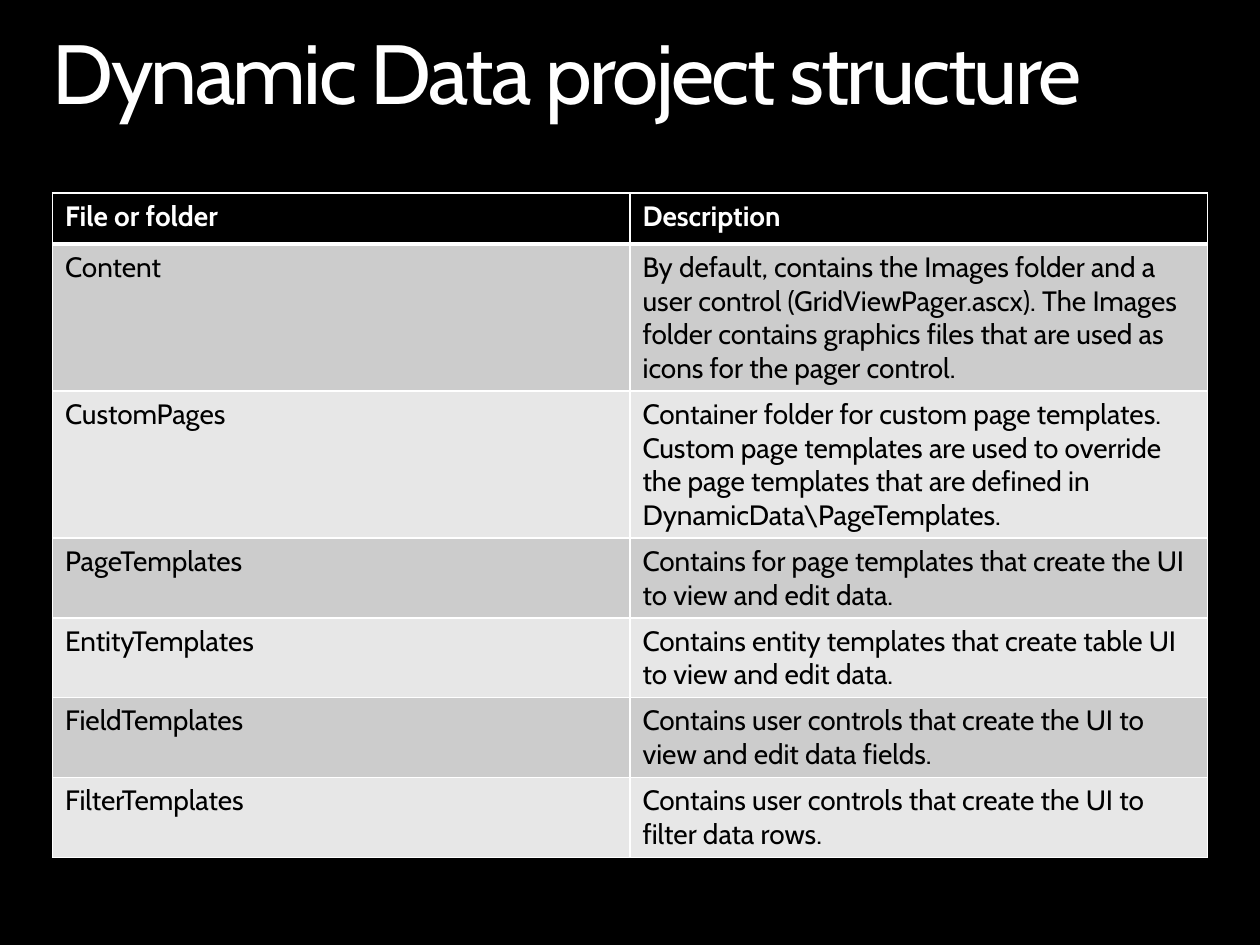
import pptx
import pptx.dml.color
import pptx.enum.text
import pptx.oxml
import pptx.oxml.ns
import pptx.util
from pptx.util import Cm

COLORS = {
    "background": "000000",
    "title_start": "FFFFFF",
    "title_end": "9F9F9F",
    "border": "FFFFFF",
    "header": "000000",
    "header_text": "FFFFFF",
    "text": "000000",
    "odd_row": "CCCCCC",
    "even_row": "E7E7E7",
}

ROWS = [
    ("File or folder", "Description"),
    ("Content",
     "By default, contains the Images folder and a user control "
     "(GridViewPager.ascx). The Images folder contains graphics files "
     "that are used as icons for the pager control."),
    ("CustomPages",
     "Container folder for custom page templates. Custom page templates "
     "are used to override the page templates that are defined in "
     "DynamicData\\PageTemplates."),
    ("PageTemplates",
     "Contains for page templates that create the UI to view and edit data."),
    ("EntityTemplates",
     "Contains entity templates that create table UI to view and edit data."),
    ("FieldTemplates",
     "Contains user controls that create the UI to view and edit data fields."),
    ("FilterTemplates",
     "Contains user controls that create the UI to filter data rows."),
]


def rgb(name):
    return pptx.dml.color.RGBColor.from_string(COLORS[name])


class SlideBuilder:
    font_name = "Cabin"
    left = Cm(1.06)
    width = Cm(23.28)

    def __init__(self, presentation):
        self.slide = presentation.slides.add_slide(presentation.slide_layouts[5])
        fill = self.slide.background.fill
        fill.solid()
        fill.fore_color.rgb = rgb("background")

    def add_run(self, paragraph, text, size, bold=False):
        run = paragraph.add_run()
        run.text = text
        run.font.name = self.font_name
        run.font.size = pptx.util.Pt(size)
        run.font.bold = bold
        return run

    def add_title(self, text):
        title = self.slide.shapes.title
        title.left, title.top = self.left, Cm(0.64)
        title.width, title.height = self.width, Cm(1.85)
        frame = title.text_frame
        frame.margin_left = frame.margin_right = 0
        frame.margin_top = frame.margin_bottom = 0
        frame.word_wrap = True
        frame.vertical_anchor = pptx.enum.text.MSO_ANCHOR.TOP
        frame.auto_size = pptx.enum.text.MSO_AUTO_SIZE.SHAPE_TO_FIT_TEXT
        paragraph = frame.paragraphs[0]
        paragraph.alignment = pptx.enum.text.PP_ALIGN.LEFT
        paragraph.line_spacing = 0.9
        run = self.add_run(paragraph, text, 48)
        # White fading to grey from top to bottom, with tight letter spacing
        fill = run.font.fill
        fill.gradient()
        fill.gradient_angle = 270
        stops = zip(fill.gradient_stops, ("title_start", "title_end"), (0.42, 0.8))
        for stop, color, position in stops:
            stop.color.rgb = rgb(color)
            stop.position = position
        run.font._element.set("spc", "-150")

    def set_borders(self, cell, bottom_width):
        properties = cell._tc.get_or_add_tcPr()
        widths = {"lnL": 1, "lnR": 1, "lnT": 1, "lnB": bottom_width}
        for index, (tag, width) in enumerate(widths.items()):
            properties.insert(index, pptx.oxml.parse_xml(
                f'<a:{tag} {pptx.oxml.ns.nsdecls("a")} w="{pptx.util.Pt(width)}">'
                f'<a:solidFill><a:srgbClr val="{COLORS["border"]}"/></a:solidFill>'
                f'</a:{tag}>'))

    def add_table(self, rows):
        row_height = Cm(1.03)
        table = self.slide.shapes.add_table(
            len(rows), len(rows[0]), self.left, Cm(3.89),
            self.width, row_height * len(rows)).table
        for row in table.rows:
            row.height = row_height
        for row_index, texts in enumerate(rows):
            header = row_index == 0
            band = "odd_row" if row_index % 2 else "even_row"
            for column_index, text in enumerate(texts):
                cell = table.cell(row_index, column_index)
                cell.fill.solid()
                cell.fill.fore_color.rgb = rgb("header" if header else band)
                run = self.add_run(cell.text_frame.paragraphs[0], text, 16, header)
                run.font.color.rgb = rgb("header_text" if header else "text")
                self.set_borders(cell, 3 if header else 1)
                if row_index == 1:
                    # The rule under the header is shared with this row
                    top = cell._tc.tcPr.find(pptx.oxml.ns.qn("a:lnT"))
                    top.set("w", str(pptx.util.Pt(3)))


def main():
    presentation = pptx.Presentation()
    presentation.slide_width = Cm(25.4)
    presentation.slide_height = Cm(19.05)

    builder = SlideBuilder(presentation)
    # Heading
    builder.add_title("Dynamic Data project structure")
    # Files and folders
    builder.add_table(ROWS)

    presentation.save("out.pptx")


if __name__ == "__main__":
    main()
